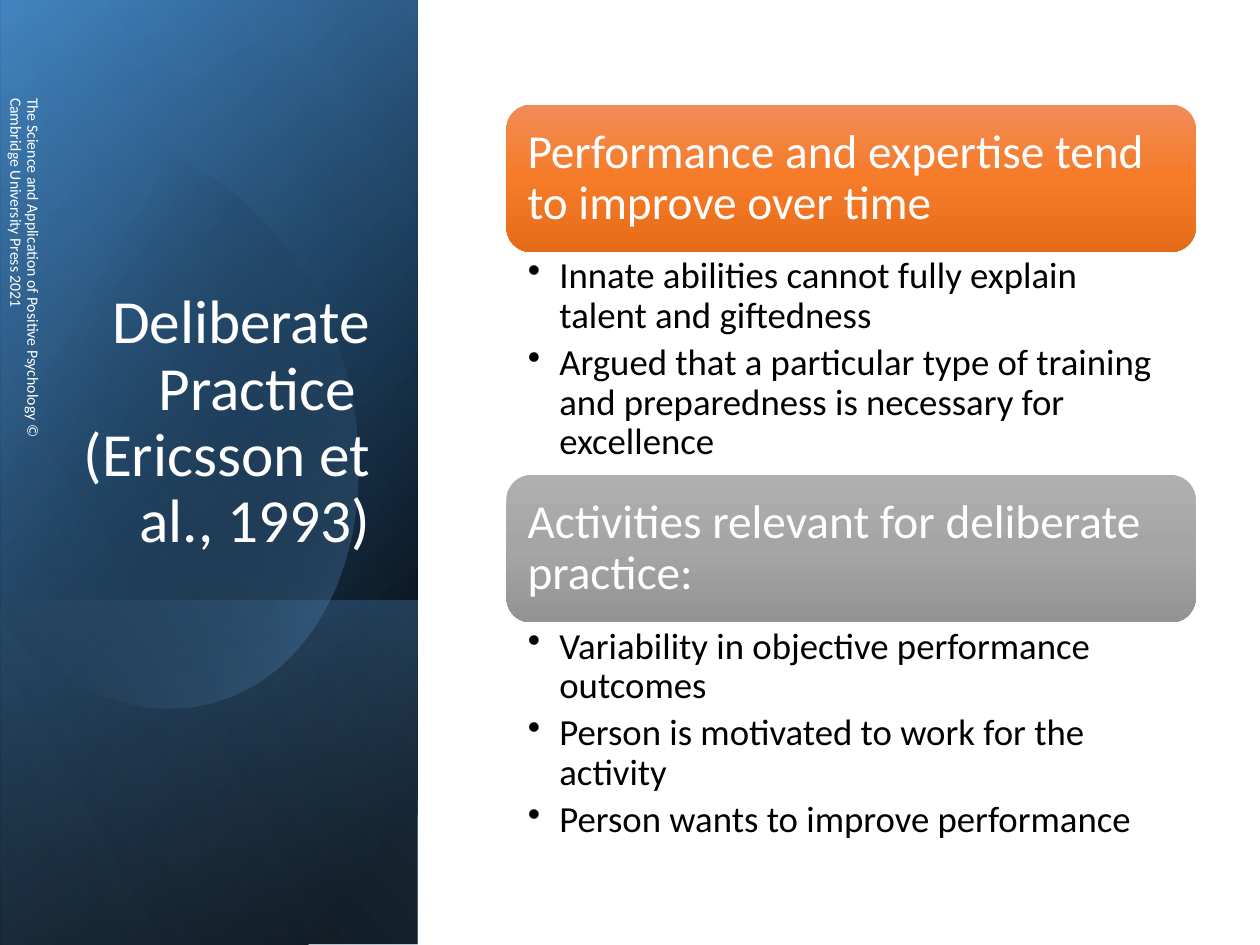
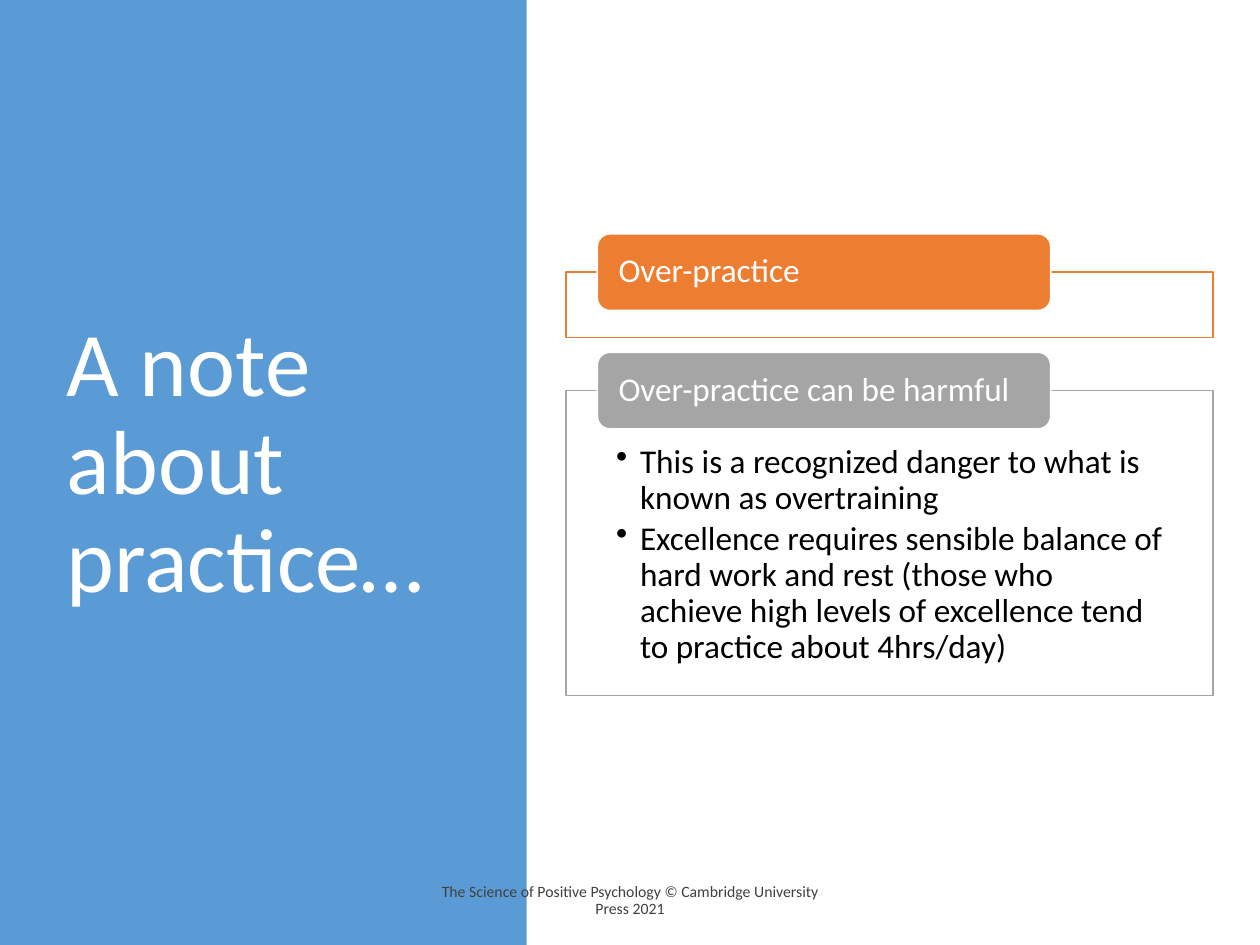
from dataclasses import dataclass

from pptx import Presentation
from pptx.dml.color import RGBColor
from pptx.enum import shapes, text
from pptx.oxml import parse_xml
from pptx.oxml.ns import nsdecls, qn
from pptx.util import Inches, Pt


@dataclass(frozen=True)
class Theme:
    font: str = "Calibri"
    white: str = "FFFFFF"
    black: str = "000000"
    charcoal: str = "404040"
    blue: str = "5B9BD5"
    deep_blue: str = "2E75B6"
    pale_blue: str = "9DC3E6"
    orange: str = "ED7D31"
    gray: str = "A5A5A5"
    footer_size: int = 9
    title_sizes: tuple = (35, 52)
    heading_sizes: tuple = (27, 19)
    bullet_sizes: tuple = (21, 19)


THEME = Theme()
RECT = shapes.MSO_SHAPE.RECTANGLE
ROUNDED = shapes.MSO_SHAPE.ROUNDED_RECTANGLE
TOP, MIDDLE, BOTTOM = (text.MSO_ANCHOR.TOP, text.MSO_ANCHOR.MIDDLE,
                       text.MSO_ANCHOR.BOTTOM)

# Each gradient stop is (position, colour, opacity), all in percent.
ORANGE_SHEEN = [(0, "F18C57", 100), (50, "F67B28", 100), (100, "E56C19", 100)]
GRAY_SHEEN = [(0, "AFAFAF", 100), (50, "A5A5A5", 100), (100, "939393", 100)]

PRACTICE = {
    "title": "Deliberate Practice \v(Ericsson et al., 1993)",
    "footer": "The Science and Application of Positive Psychology © "
              "Cambridge University Press 2021",
    "sections": [
        ("Performance and expertise tend to improve over time", ORANGE_SHEEN, 1.77,
         ["Innate abilities cannot fully explain talent and giftedness",
          "Argued that a particular type of training and preparedness is "
          "necessary for excellence"]),
        ("Activities relevant for deliberate practice:", GRAY_SHEEN, 1.83,
         ["Variability in objective performance outcomes",
          "Person is motivated to work for the activity",
          "Person wants to improve performance"]),
    ],
}
NOTE = {
    "title": "A note about practice…",
    "footer": "The Science of Positive Psychology © Cambridge University Press 2021",
    "sections": [
        ("Over-practice", THEME.orange, 0.52, []),
        ("Over-practice can be harmful", THEME.gray, 2.42,
         ["This is a recognized danger to what is known as overtraining",
          "Excellence requires sensible balance of hard work and rest (those who "
          "achieve high levels of excellence tend to practice about 4hrs/day)"]),
    ],
}

# Side panel layers: box before its quarter turn, stops, angle.
PANEL = (-2.09, 2.09, 7.5, 3.31)
LAYERS_BELOW = [
    (PANEL, [(8, THEME.black, 100), (100, THEME.deep_blue, 100)], 50),
    (PANEL, [(0, THEME.black, 0), (99, THEME.blue, 46)], 30),
    ((0.29, 4.48, 2.74, 3.31),
     [(2, THEME.blue, 29), (100, THEME.black, 30)], 130),
]
LAYERS_ABOVE = [(PANEL, [(0, THEME.black, 0), (99, THEME.pale_blue, 11)], 120)]
OVAL_STOPS = [(29, THEME.black, 0), (100, THEME.blue, 43)]
OVAL_START = (0.96, 1.14)
# Each curve holds two control points and an end; a single point is a line.
OVAL_CURVES = [
    [(1.71, 1.22), (2.44, 1.92), (2.73, 2.9)],
    [(3.07, 4.12), (2.62, 5.31), (1.71, 5.57)],
    [(1.14, 5.74), (0.53, 5.5), (0.07, 5)],
    [(-0.03, 4.88)],
    [(-0.25, 1.66)],
    [(-0.15, 1.54)],
    [(0.02, 1.37), (0.22, 1.25), (0.45, 1.18)],
    [(0.62, 1.13), (0.79, 1.12), (0.96, 1.14)],
]


def rgb(color):
    return RGBColor.from_string(color)


def inches(values):
    return [Inches(value) for value in values]


def fill_gradient(shape, stops, angle):
    marks = "".join(
        f'<a:gs pos="{pos * 1000}"><a:srgbClr val="{color}">'
        f'<a:alpha val="{opacity * 1000}"/></a:srgbClr></a:gs>'
        for pos, color, opacity in stops)
    gradient = parse_xml(
        f'<a:gradFill {nsdecls("a")} rotWithShape="1"><a:gsLst>{marks}</a:gsLst>'
        f'<a:lin ang="{angle * 60000}" scaled="0"/></a:gradFill>')
    shape.fill.background()
    properties = shape._element.spPr
    properties.replace(properties.find(qn("a:noFill")), gradient)


def add_box(page, kind, place, fill=None, line=None):
    box = page.shapes.add_shape(kind, *inches(place))
    box.shadow.inherit = False
    if fill:
        box.fill.solid()
        box.fill.fore_color.rgb = rgb(fill)
    if line:
        box.line.color.rgb = rgb(line)
        box.line.width = Pt(1)
    else:
        box.line.fill.background()
    return box


def write(box, lines, size, color, anchor=TOP, insets=(0.1, 0.05, 0.1, 0.05),
          align=text.PP_ALIGN.LEFT, after=0, indent=0):
    """Set the text of a box; an indent above zero makes the lines bullets."""
    frame = box.text_frame
    frame.text = "\n".join(lines)
    frame.word_wrap = True
    frame.auto_size = text.MSO_AUTO_SIZE.NONE
    frame.vertical_anchor = anchor
    (frame.margin_left, frame.margin_top,
     frame.margin_right, frame.margin_bottom) = inches(insets)
    for para in frame.paragraphs:
        if indent:
            properties = para._p.get_or_add_pPr()
            properties.set("marL", str(Inches(indent)))
            properties.set("indent", str(-Inches(indent)))
            properties.append(parse_xml(f'<a:buChar {nsdecls("a")} char="•"/>'))
        para.alignment = align
        para.line_spacing = 0.9
        para.space_before = Pt(0)
        para.space_after = Pt(after)
        for span in para.runs:
            span.font.name = THEME.font
            span.font.size = Pt(size)
            span.font.color.rgb = rgb(color)


def place_title(page, title, place, size, anchor, align):
    """Move the title placeholder in front of what is drawn so far."""
    box = page.shapes.title
    box.left, box.top, box.width, box.height = inches(place)
    page.shapes._spTree.append(box._element)
    write(box, [title], size, THEME.white, anchor, align=align)


def add_footer(page, footer, left, top, color, align, rotation=0):
    box = page.shapes.add_textbox(*inches((left, top, 3.38, 0.4)))
    box.rotation = rotation
    write(box, [footer], THEME.footer_size, color, MIDDLE, align=align, after=6)


def add_layers(page, layers):
    for place, stops, angle in layers:
        layer = add_box(page, RECT, place)
        layer.rotation = 90
        layer._element.spPr.find(qn("a:xfrm")).set("flipH", "1")
        fill_gradient(layer, stops, angle)


def oval_points(steps=24):
    points = [OVAL_START]
    for curve in OVAL_CURVES:
        if len(curve) == 1:
            points += curve
            continue
        corners = [points[-1], *curve]
        for step in range(1, steps + 1):
            t = step / steps
            weights = ((1 - t) ** 3, 3 * t * (1 - t) ** 2, 3 * t * t * (1 - t), t ** 3)
            points.append(tuple(
                sum(weight * corner[axis] for weight, corner in zip(weights, corners))
                for axis in (0, 1)))
    return points


def add_oval(page):
    start, *rest = [tuple(inches(point)) for point in oval_points()]
    builder = page.shapes.build_freeform(*start)
    builder.add_line_segments(rest, close=True)
    oval = builder.convert_to_shape()
    oval.shadow.inherit = False
    oval.line.fill.background()
    fill_gradient(oval, OVAL_STOPS, 30)


def build_practice(page):
    add_layers(page, LAYERS_BELOW)
    add_oval(page)
    add_layers(page, LAYERS_ABOVE)
    place_title(page, PRACTICE["title"], (0.48, 1.84, 2.56, 2.62),
                THEME.title_sizes[0], BOTTOM, text.PP_ALIGN.RIGHT)
    add_footer(page, PRACTICE["footer"], -1.5, 2.17, THEME.white,
               text.PP_ALIGN.LEFT, rotation=90)

    left, top, width, heading_height = 4.02, 0.83, 5.47, 1.17
    for heading, sheen, body_height, bullets in PRACTICE["sections"]:
        card = add_box(page, ROUNDED, (left, top, width, heading_height))
        fill_gradient(card, sheen, 90)
        write(card, [heading], THEME.heading_sizes[0], THEME.white, MIDDLE, (0.11,) * 4)
        top += heading_height
        body = page.shapes.add_textbox(*inches((left, top, width, body_height)))
        write(body, bullets, THEME.bullet_sizes[0], THEME.black,
              insets=(0.17, 0.04, 0.21, 0.04), after=4.2, indent=0.25)
        top += body_height


def build_note(page):
    add_box(page, RECT, (0, 0, 4.18, 7.5), THEME.blue)
    place_title(page, NOTE["title"], (0.43, 0.68, 3.12, 6.02),
                THEME.title_sizes[1], MIDDLE, text.PP_ALIGN.LEFT)
    add_footer(page, NOTE["footer"], 3.31, 6.95, THEME.charcoal, text.PP_ALIGN.CENTER)

    top, gap, tab_height = 2.16, 0.42, 0.61
    for heading, color, height, bullets in NOTE["sections"]:
        panel = add_box(page, RECT, (4.49, top, 5.14, height), THEME.white, color)
        if bullets:
            write(panel, bullets, THEME.bullet_sizes[1], THEME.black,
                  insets=(0.4, 0.43, 0.4, 0.15), after=2.85, indent=0.19)
        tab = add_box(page, ROUNDED, (4.74, top - tab_height / 2, 3.6, tab_height),
                      color, THEME.white)
        write(tab, [heading], THEME.heading_sizes[1], THEME.white, MIDDLE,
              (0.14, 0, 0.14, 0))
        top += height + gap


def main():
    deck = Presentation()
    deck.slide_width, deck.slide_height = Inches(10), Inches(7.5)
    title_only = deck.slide_layouts[5]
    for build in (build_practice, build_note):
        build(deck.slides.add_slide(title_only))
    deck.save("out.pptx")


if __name__ == "__main__":
    main()
